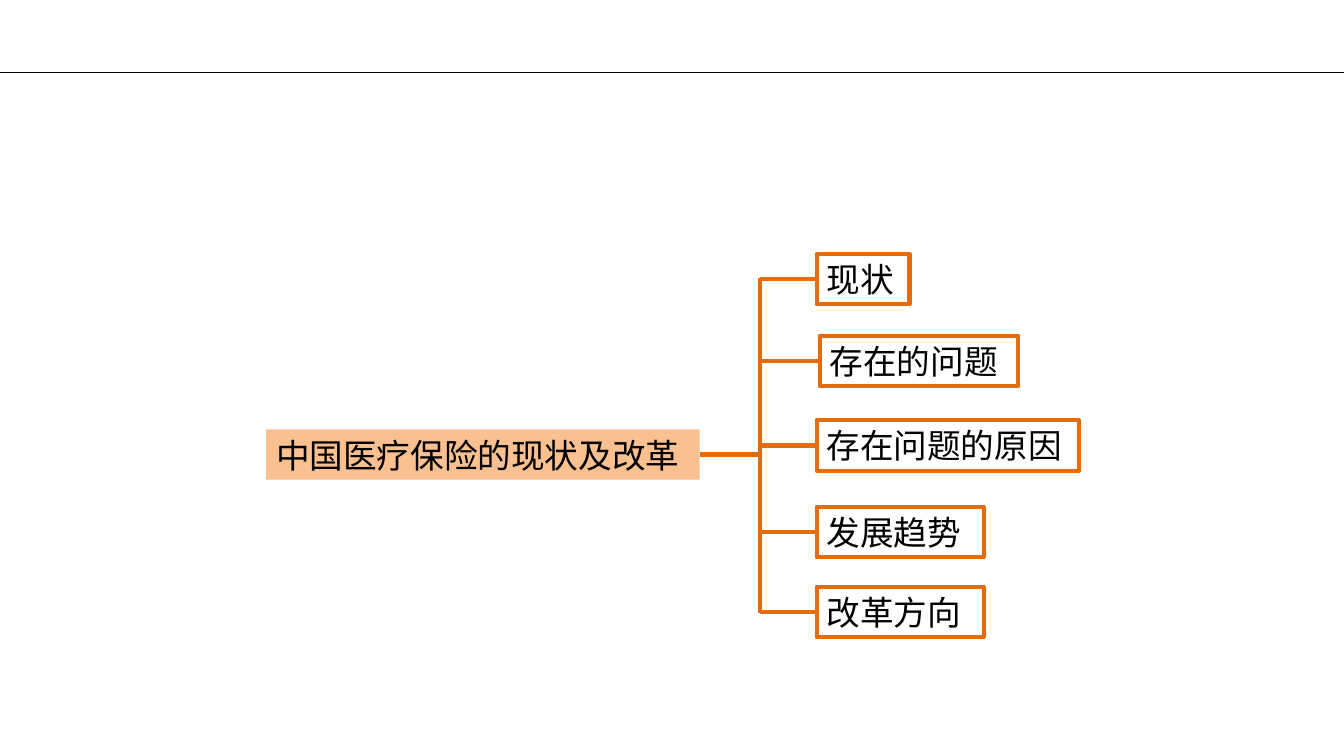
from dataclasses import dataclass

import pptx
import pptx.dml.color
import pptx.enum.shapes
import pptx.enum.text
import pptx.oxml.ns
import pptx.util
from lxml import etree
from pptx.shapes.autoshape import Shape
from pptx.shapes.connector import Connector
from pptx.slide import Slide

EMU_PER_PX = 9144
COLORS = {"rule": "000000", "text": "000000", "topic": "FAC090", "branch": "E46C0A"}
FONT = "Noto Sans CJK SC"
BOX_HEIGHT = 50
TRUNK_X = 754
LEFT_SIDE, RIGHT_SIDE = 1, 3


@dataclass(frozen=True)
class Node:
    text: str
    left: int
    top: int
    width: int

    @property
    def middle(self) -> int:
        return self.top + BOX_HEIGHT // 2


TOPIC = Node("中国医疗保险的现状及改革", 264, 426, 430)
BRANCHES = [
    Node("现状", 810, 252, 92),
    Node("存在的问题", 813, 333, 197),
    Node("存在问题的原因", 810, 417, 260),
    Node("发展趋势", 810, 503, 166),
    Node("改革方向", 810, 582, 166),
]


def px(length: int) -> pptx.util.Emu:
    return pptx.util.Emu(length * EMU_PER_PX)


def color(name: str) -> pptx.dml.color.RGBColor:
    return pptx.dml.color.RGBColor.from_string(COLORS[name])


def add_line(page: Slide, x1: int, y1: int, x2: int, y2: int,
             color_name: str, weight: int) -> Connector:
    line = page.shapes.add_connector(
        pptx.enum.shapes.MSO_CONNECTOR.STRAIGHT, px(x1), px(y1), px(x2), px(y2))
    line.line.color.rgb = color(color_name)
    line.line.width = pptx.util.Pt(weight)
    etree.SubElement(line._element.spPr, pptx.oxml.ns.qn("a:effectLst"))
    return line


def add_node(page: Slide, node: Node) -> Shape:
    box = page.shapes.add_shape(
        pptx.enum.shapes.MSO_SHAPE.RECTANGLE,
        px(node.left), px(node.top), px(node.width), px(BOX_HEIGHT))
    box.shadow.inherit = False
    frame = box.text_frame
    frame.text = node.text
    frame.word_wrap = True
    frame.vertical_anchor = pptx.enum.text.MSO_ANCHOR.MIDDLE
    para = frame.paragraphs[0]
    para.alignment = pptx.enum.text.PP_ALIGN.LEFT
    span = para.runs[0]
    span.font.size = pptx.util.Pt(24)
    span.font.name = FONT
    span.font.color.rgb = color("text")
    east_asian = etree.SubElement(span.font._element, pptx.oxml.ns.qn("a:ea"))
    east_asian.set("typeface", FONT)
    return box


def add_topic(page: Slide) -> None:
    box = add_node(page, TOPIC)
    box.fill.solid()
    box.fill.fore_color.rgb = color("topic")
    box.line.fill.background()
    stem = add_line(page, TOPIC.left + TOPIC.width, TOPIC.middle,
                    TRUNK_X, TOPIC.middle, "branch", 3)
    stem.begin_connect(box, RIGHT_SIDE)


def add_branch(page: Slide, node: Node) -> None:
    box = add_node(page, node)
    box.fill.background()
    box.line.color.rgb = color("branch")
    box.line.width = pptx.util.Pt(3)
    twig = add_line(page, TRUNK_X, node.middle, node.left, node.middle, "branch", 3)
    twig.end_connect(box, LEFT_SIDE)


def main() -> None:
    deck = pptx.Presentation()
    deck.slide_width, deck.slide_height = px(1333), px(750)
    page = deck.slides.add_slide(deck.slide_layouts[6])
    add_line(page, 0, 72, 1333, 72, "rule", 1)
    add_topic(page)
    add_line(page, TRUNK_X, BRANCHES[-1].middle + 1,
             TRUNK_X, BRANCHES[0].middle - 1, "branch", 3)
    for node in BRANCHES:
        add_branch(page, node)
    deck.save("out.pptx")


if __name__ == "__main__":
    main()
